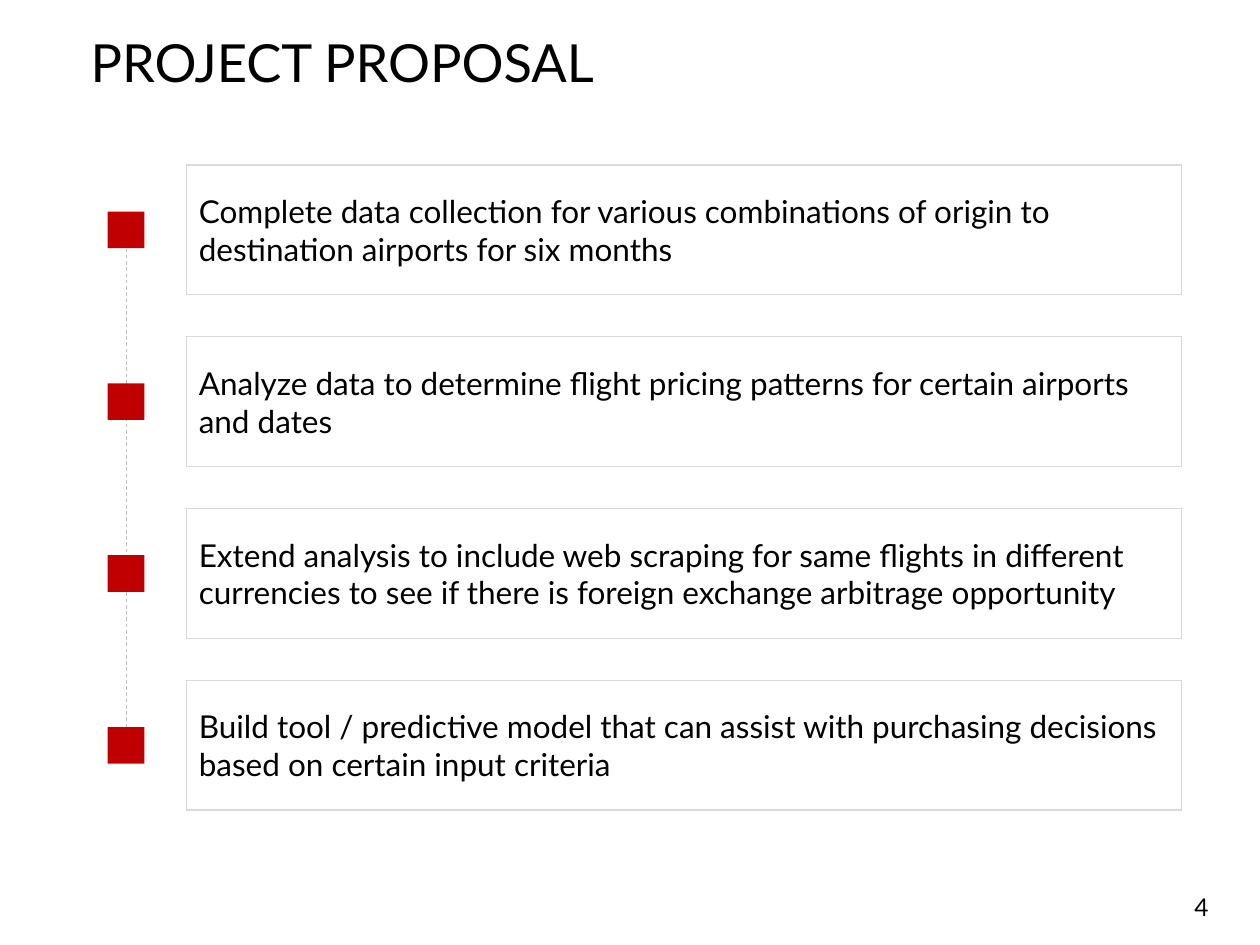
from dataclasses import dataclass

import pptx
import pptx.dml.color
import pptx.enum.dml
import pptx.enum.shapes
import pptx.enum.text
import pptx.oxml.ns
import pptx.shapes.base
import pptx.slide
import pptx.util
from lxml import etree

RGB = pptx.dml.color.RGBColor
BLACK = RGB(0x00, 0x00, 0x00)
RED = RGB(0xC0, 0x00, 0x00)
BORDER = RGB(0xD9, 0xD9, 0xD9)
TIMELINE = RGB(0xBF, 0xBF, 0xBF)

SLIDE_W, SLIDE_H = 10, 7.5
FIRST_TOP, LAST_TOP = 1.31, 5.4
BOX_LEFT, BOX_W, BOX_H = 1.48, 7.9, 1.03
MARKER = 0.29
AXIS_X = 1.0

STEPS = (
    "Complete data collection for various combinations of origin to "
    "destination airports for six months",
    "Analyze data to determine flight pricing patterns for certain airports "
    "and dates",
    "Extend analysis to include web scraping for same flights in different "
    "currencies to see if there is foreign exchange arbitrage opportunity",
    "Build tool / predictive model that can assist with purchasing decisions "
    "based on certain input criteria",
)
PITCH = (LAST_TOP - FIRST_TOP) / (len(STEPS) - 1)


@dataclass(frozen=True)
class Area:
    """A rectangle on the slide, in inches."""

    left: float
    top: float
    width: float
    height: float

    def emu(self) -> list[int]:
        """Return the four lengths in the unit that shapes take."""
        return [pptx.util.Inches(v)
                for v in (self.left, self.top, self.width, self.height)]


@dataclass(frozen=True)
class Step:
    """One proposal step: its text and its row on the timeline."""

    text: str
    row: int

    @property
    def box(self) -> Area:
        """The outlined box that holds the text."""
        return Area(BOX_LEFT, FIRST_TOP + self.row * PITCH, BOX_W, BOX_H)

    @property
    def marker(self) -> Area:
        """The square centred on the timeline beside the box."""
        middle = self.box.top + BOX_H / 2
        return Area(AXIS_X - MARKER / 2, middle - MARKER / 2, MARKER, MARKER)


def write(sp: pptx.shapes.base.BaseShape, text: str, size: float,
          anchor: pptx.enum.text.MSO_ANCHOR, spacing: float = 1.0) -> None:
    """Put one left-aligned paragraph into a shape."""
    tf = sp.text_frame
    tf.word_wrap = True
    tf.vertical_anchor = anchor
    p = tf.paragraphs[0]
    p.alignment = pptx.enum.text.PP_ALIGN.LEFT
    p.line_spacing = spacing
    r = p.add_run()
    r.text = text
    font_format = {"name": "Lato", "size": pptx.util.Pt(size)}
    for key, value in font_format.items():
        setattr(r.font, key, value)
    r.font.color.rgb = BLACK


def add_label(slide: pptx.slide.Slide, area: Area, text: str, size: float,
              anchor: pptx.enum.text.MSO_ANCHOR, spacing: float = 1.0) -> None:
    """Add a plain text box."""
    write(slide.shapes.add_textbox(*area.emu()), text, size, anchor, spacing)


def add_rect(slide: pptx.slide.Slide, area: Area, fill: RGB | None = None,
             line: RGB | None = None) -> pptx.shapes.base.BaseShape:
    """Add a rectangle with an optional fill and outline."""
    sp = slide.shapes.add_shape(
        pptx.enum.shapes.MSO_SHAPE.RECTANGLE, *area.emu())
    sp.shadow.inherit = False
    for part, color in ((sp.fill, fill), (sp.line.fill, line)):
        if color is None:
            part.background()
        else:
            part.solid()
            part.fore_color.rgb = color
    if line is not None:
        sp.line.width = pptx.util.Pt(0.75)
    return sp


def add_timeline(slide: pptx.slide.Slide, top: float, bottom: float) -> None:
    """Add the dashed vertical line that joins the markers."""
    ends = [pptx.util.Inches(v) for v in (AXIS_X, top, AXIS_X, bottom)]
    sp = slide.shapes.add_connector(
        pptx.enum.shapes.MSO_CONNECTOR.STRAIGHT, *ends)
    sp.line.color.rgb = TIMELINE
    line_format = {"width": pptx.util.Pt(0.5),
                   "dash_style": pptx.enum.dml.MSO_LINE.DASH}
    for key, value in line_format.items():
        setattr(sp.line, key, value)
    etree.SubElement(sp._element.spPr, pptx.oxml.ns.qn("a:effectLst"))


def main() -> None:
    """Build the slide and save it."""
    prs = pptx.Presentation()
    prs.slide_width = pptx.util.Inches(SLIDE_W)
    prs.slide_height = pptx.util.Inches(SLIDE_H)
    slide = prs.slides.add_slide(prs.slide_layouts[6])
    anchors = pptx.enum.text.MSO_ANCHOR
    steps = [Step(text, row) for row, text in enumerate(STEPS)]

    add_label(slide, Area(9.38, 7.03, 0.69, 0.34), "4", 14, anchors.TOP)
    add_timeline(slide, steps[0].box.top + BOX_H / 2,
                 steps[-1].box.top + BOX_H / 2)
    add_label(slide, Area(0.62, 0.2, 8.75, 0.64), "PROJECT PROPOSAL", 30,
              anchors.MIDDLE, 0.9)
    for step in steps:
        write(add_rect(slide, step.box, line=BORDER), step.text, 18,
              anchors.MIDDLE)
    for step in steps:
        add_rect(slide, step.marker, fill=RED)

    prs.save("out.pptx")


main()
